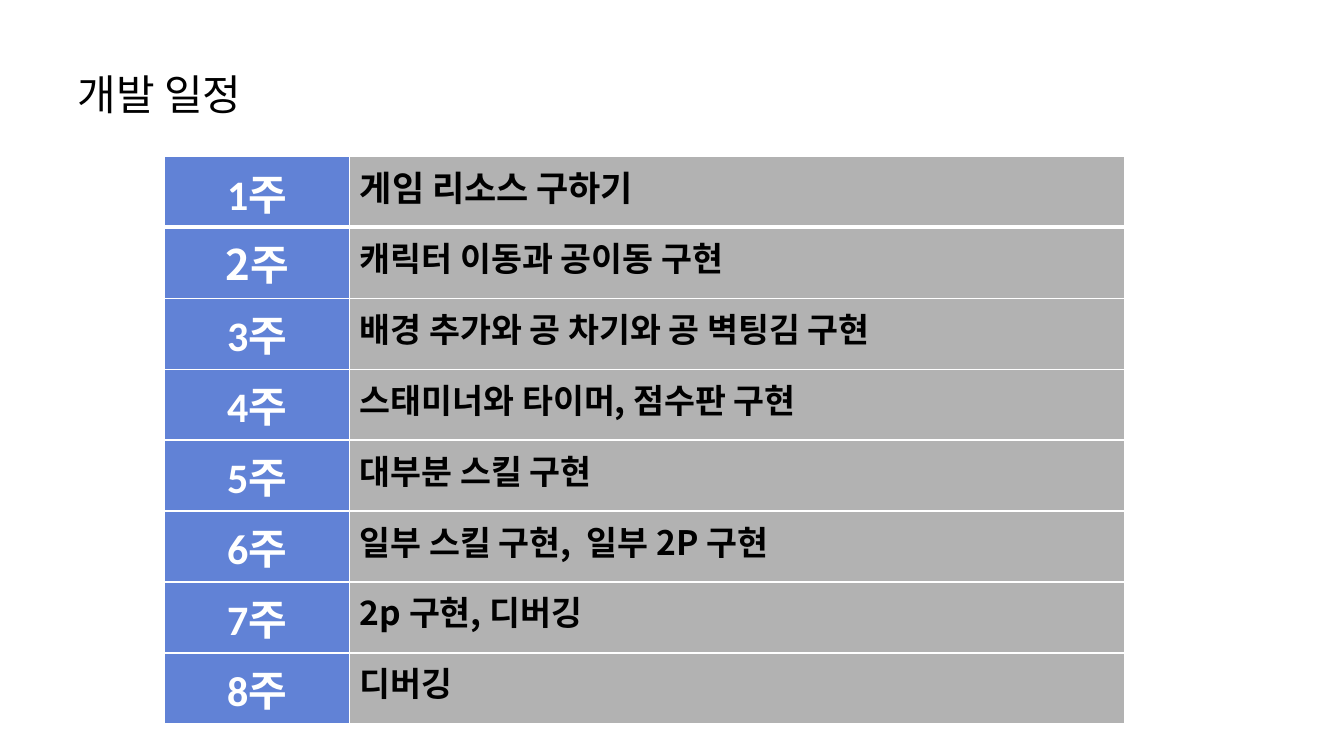
from dataclasses import dataclass

from lxml import etree
from pptx import Presentation
from pptx.dml.color import RGBColor
from pptx.enum import text as t
from pptx.oxml import ns
from pptx.util import Inches, Pt


@dataclass(frozen=True)
class Theme:
    ink: str = "000000"
    white: str = "FFFFFF"
    week_fill: str = "6182D6"
    task_fill: str = "B2B2B2"
    latin: str = "Calibri"
    korean: str = "Noto Sans CJK KR"
    large: int = 30
    first_task: int = 25
    task: int = 24
    rule: int = 1
    heavy_rule: int = 3


def write(frame, wording, *, size, color, font, korean, bold=False, align=t.PP_ALIGN.LEFT):
    paragraph = frame.paragraphs[0]
    paragraph.alignment = align
    run = paragraph.add_run()
    run.text = wording
    run.font.size = Pt(size)
    run.font.bold = bold
    run.font.name = font
    run.font.color.rgb = RGBColor.from_string(color)
    east_asian = etree.SubElement(run.font._element, ns.qn("a:ea"))
    east_asian.set("typeface", korean)


class ScheduleSlide:
    def __init__(self, deck, theme):
        self.theme = theme
        self.slide = deck.slides.add_slide(deck.slide_layouts[5])

    def title(self, wording, left, top, width, height):
        heading = self.slide.shapes.title
        heading.left, heading.top = Inches(left), Inches(top)
        heading.width, heading.height = Inches(width), Inches(height)
        frame = heading.text_frame
        frame.auto_size = t.MSO_AUTO_SIZE.NONE
        frame.vertical_anchor = t.MSO_ANCHOR.MIDDLE
        write(frame, wording, size=self.theme.large, color=self.theme.ink,
              font=self.theme.latin, korean=self.theme.korean)

    def borders(self, cell, widths):
        properties = cell._tc.get_or_add_tcPr()
        for position, (side, width) in enumerate(widths.items()):
            line = etree.Element(ns.qn(f"a:ln{side}"), w=str(Pt(width)))
            fill = etree.SubElement(line, ns.qn("a:solidFill"))
            etree.SubElement(fill, ns.qn("a:srgbClr"), val=self.theme.white)
            properties.insert(position, line)

    def cell(self, cell, wording, fill, widths, **style):
        cell.fill.solid()
        cell.fill.fore_color.rgb = RGBColor.from_string(fill)
        self.borders(cell, widths)
        write(cell.text_frame, wording, bold=True, korean=self.theme.korean, **style)

    def schedule(self, tasks, left, top, columns, height):
        theme = self.theme
        table = self.slide.shapes.add_table(
            len(tasks), len(columns), Inches(left), Inches(top),
            Inches(sum(columns)), Inches(height)).table
        for column, width in zip(table.columns, columns):
            column.width = Inches(width)
        for row, task in enumerate(tasks):
            widths = dict.fromkeys("LRTB", theme.rule)
            if row == 0:
                widths["B"] = theme.heavy_rule
            elif row == 1:
                widths["T"] = theme.heavy_rule
            self.cell(table.cell(row, 0), f"{row + 1}주", theme.week_fill, widths,
                      size=theme.large, color=theme.white, align=t.PP_ALIGN.CENTER,
                      font=theme.korean if row == 1 else theme.latin)
            self.cell(table.cell(row, 1), task, theme.task_fill, widths,
                      size=theme.task if row else theme.first_task,
                      color=theme.ink, font=theme.korean)


def main():
    deck = Presentation()
    deck.slide_width, deck.slide_height = Inches(13.33), Inches(7.5)
    page = ScheduleSlide(deck, Theme())
    page.title("개발 일정", 0.67, 0.3, 12, 1.25)
    tasks = [
        "게임 리소스 구하기",
        "캐릭터 이동과 공이동 구현",
        "배경 추가와 공 차기와 공 벽팅김 구현",
        "스태미너와 타이머, 점수판 구현",
        "대부분 스킬 구현",
        "일부 스킬 구현,  일부 2P 구현",
        "2p 구현, 디버깅",
        "디버깅",
    ]
    page.schedule(tasks, 1.63, 1.55, columns=(1.84, 7.68), height=5.4)
    deck.save("out.pptx")


if __name__ == "__main__":
    main()
